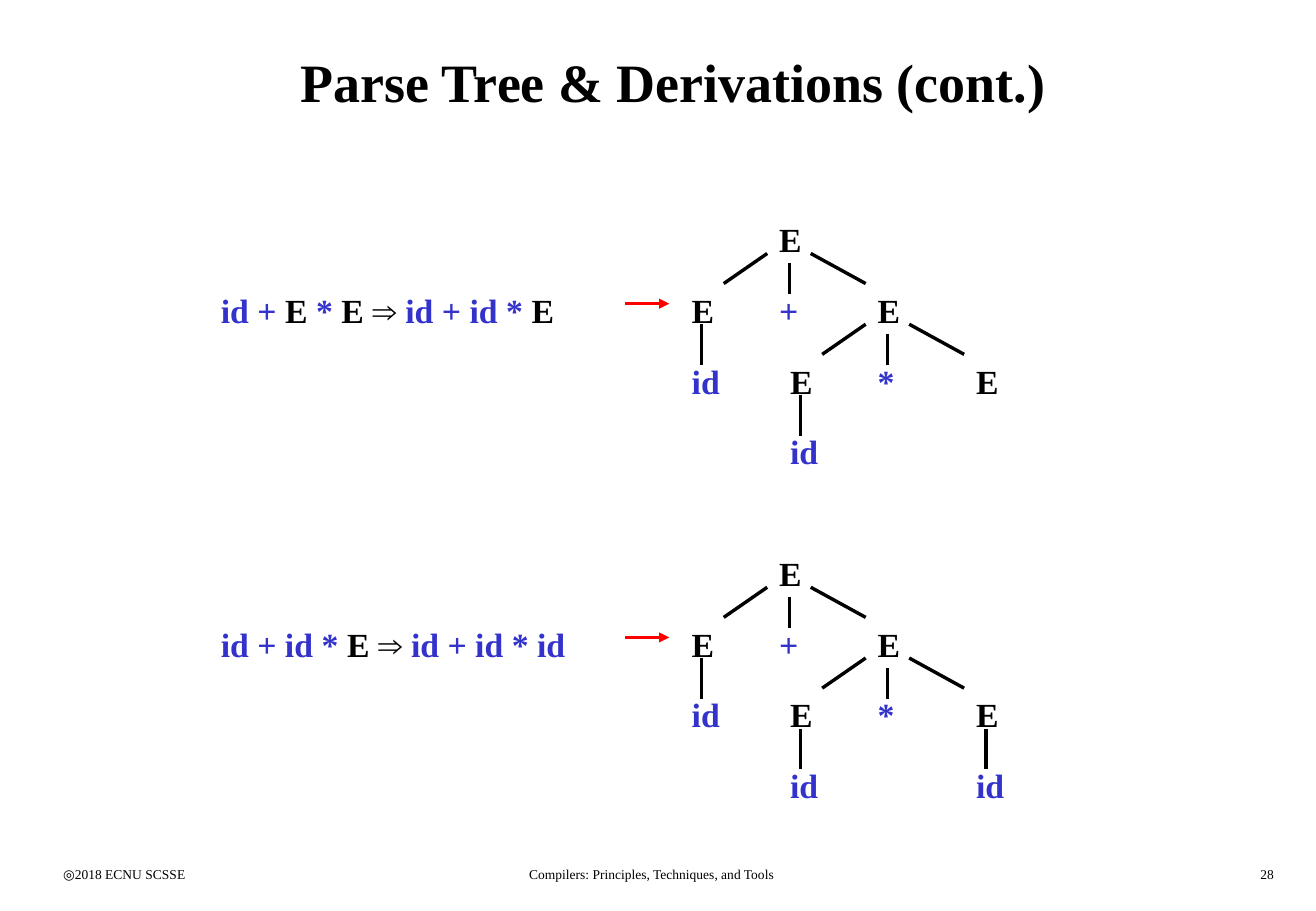
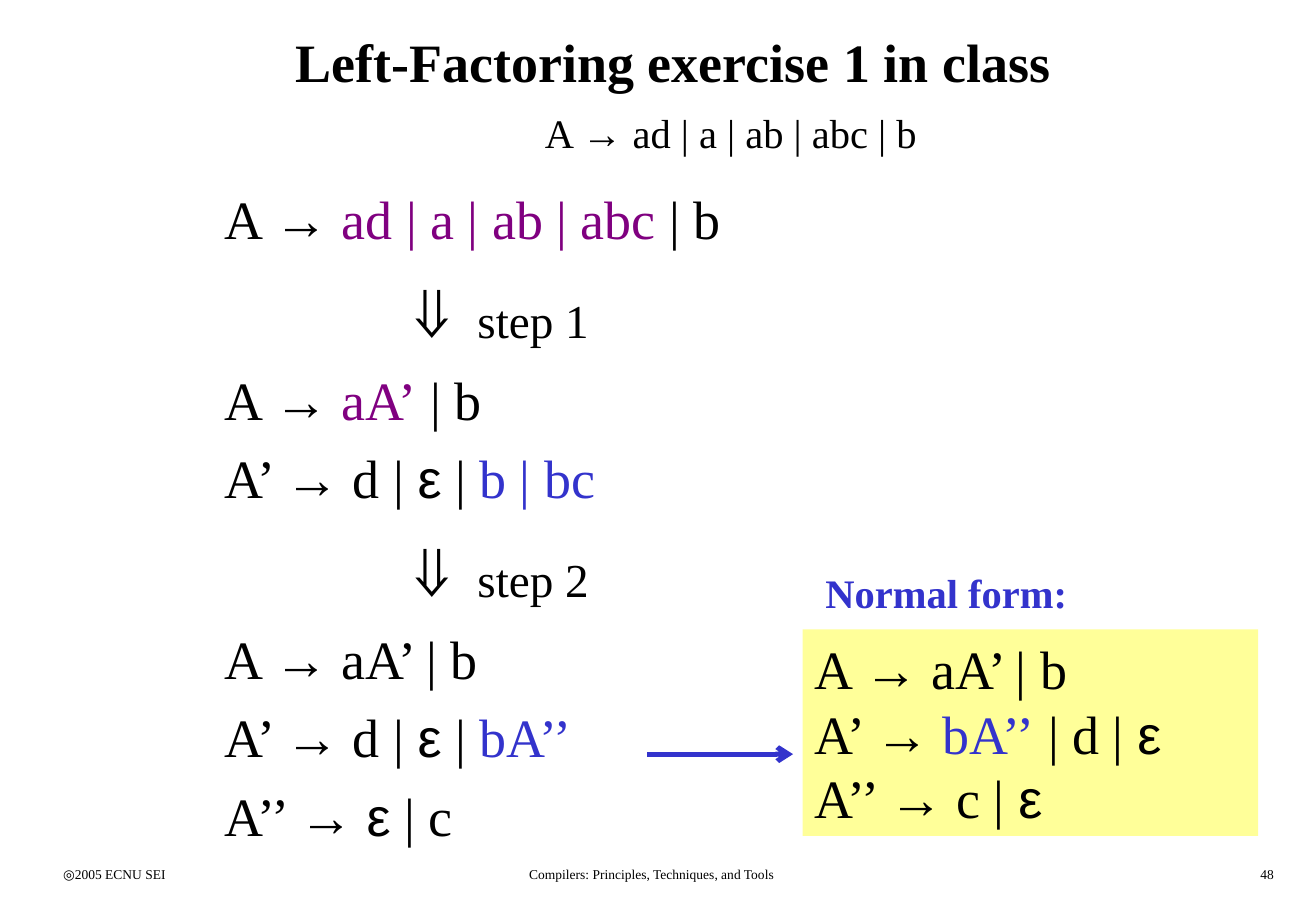
from itertools import groupby

from lxml import etree
from pptx import Presentation
from pptx import util as u
from pptx.dml.color import RGBColor
from pptx.enum import shapes, text
from pptx.oxml.ns import qn

BLACK, BLUE, PURPLE, RED, YELLOW = "000000", "3333CC", "800080", "FF0000", "FFFF99"
SYMBOLS = "→⇒⇓ε"
LEFT, CENTER, RIGHT = text.PP_ALIGN.LEFT, text.PP_ALIGN.CENTER, text.PP_ALIGN.RIGHT

LEVEL = 1.48
CHILD_OFFSETS = {1: [0], 3: [-1.83, 0, 2.06]}
BRANCHES = {
    1: [(0.46, 0.85, 0.46, 1.7)],
    3: [(-0.91, 1.48, 0, 0.85), (0.46, 1.06, 0.46, 1.7), (0.91, 0.85, 2.06, 1.48)],
}


def colour(value):
    return RGBColor.from_string(value)


class Deck:
    body_font = "Times New Roman"
    symbol_font = "Arial"

    def __init__(self):
        self.prs = Presentation()
        self.prs.slide_width, self.prs.slide_height = u.Cm(27.53), u.Cm(19.05)
        self.slide = None

    def new_slide(self, title, title_height, owner, number):
        self.slide = self.prs.slides.add_slide(self.prs.slide_layouts[6])
        self.label(1.07, 0.43, 26.04, title_height, [(title, BLACK)], 32, bold=True,
                   align=CENTER, anchor=text.MSO_ANCHOR.MIDDLE)
        for x, width, words, align in [
            (1.07, 5.74, owner, LEFT),
            (8.48, 10.31, "Compilers: Principles, Techniques, and Tools", CENTER),
            (21.16, 5.74, number, RIGHT),
        ]:
            self.label(x, 17.98, width, 0.64, [(words, BLACK)], 8, align=align)

    def add_runs(self, paragraph, pieces, size, bold=False):
        for words, ink, *own_size in pieces:
            for is_symbol, chars in groupby(words, key=lambda c: c in SYMBOLS):
                run = paragraph.add_run()
                run.text = "".join(chars)
                run.font.name = self.symbol_font if is_symbol else self.body_font
                run.font.size = u.Pt(own_size[0] if own_size else size)
                run.font.bold = bold
                run.font.color.rgb = colour(ink)

    def paragraphs(self, frame, lines, size, gap=0):
        for i, (indent, pieces) in enumerate(lines):
            paragraph = frame.add_paragraph() if i else frame.paragraphs[0]
            if indent:
                paragraph._p.get_or_add_pPr().set("marL", str(u.Cm(indent)))
            if i and gap:
                paragraph.space_before = u.Pt(gap)
            paragraph.alignment = LEFT
            self.add_runs(paragraph, pieces, size)

    def box(self, x, y, width, height, wrap=True):
        area = self.slide.shapes.add_textbox(u.Cm(x), u.Cm(y), u.Cm(width), u.Cm(height))
        area.text_frame.word_wrap = wrap
        return area.text_frame

    def label(self, x, y, width, height, pieces, size, bold=False, align=LEFT,
              anchor=text.MSO_ANCHOR.TOP, wrap=True):
        frame = self.box(x, y, width, height, wrap)
        frame.vertical_anchor = anchor
        frame.paragraphs[0].alignment = align
        self.add_runs(frame.paragraphs[0], pieces, size, bold)

    def panel(self, x, y, width, height, fill):
        area = self.slide.shapes.add_shape(
            shapes.MSO_SHAPE.RECTANGLE, u.Cm(x), u.Cm(y), u.Cm(width), u.Cm(height))
        area.shadow.inherit = False
        area.fill.solid()
        area.fill.fore_color.rgb = colour(fill)
        area.line.fill.background()
        area.text_frame.word_wrap = True
        area.text_frame.vertical_anchor = text.MSO_ANCHOR.TOP
        return area.text_frame

    def line(self, x1, y1, x2, y2, ink=BLACK, weight=2, head=None):
        link = self.slide.shapes.add_connector(
            shapes.MSO_CONNECTOR.STRAIGHT, u.Cm(x1), u.Cm(y1), u.Cm(x2), u.Cm(y2))
        link.line.color.rgb = colour(ink)
        link.line.width = u.Pt(weight)
        if head:
            etree.SubElement(link.line._get_or_add_ln(), qn("a:tailEnd"), type=head)
        etree.SubElement(link._element.spPr, qn("a:effectLst"))

    def tree(self, x, y, symbol, *children):
        ink = BLACK if symbol == "E" else BLUE
        self.label(x, y, 1.6, 1.12, [(symbol, ink)], 20, bold=True)
        if not children:
            return
        for child, offset, (x1, y1, x2, y2) in zip(
                children, CHILD_OFFSETS[len(children)], BRANCHES[len(children)]):
            self.line(x + x1, y + y1, x + x2, y + y2)
            self.tree(x + offset, y + LEVEL, *child)

    def derivation(self, y, formula, root):
        self.label(4.37, y + LEVEL, 8.71, 1.12, formula, 20, bold=True)
        self.line(13.08, y + 1.9, 14, y + 1.9, RED, head="triangle")
        self.tree(16.05, y, *root)

    def save(self):
        self.prs.save("out.pptx")


def parse_tree_slide(deck):
    deck.new_slide("Parse Tree & Derivations (cont.)", 2.54, "◎2018 ECNU SCSSE", "28")
    open_e = ("E",)
    id_e = ("E", ("id",))
    steps = [
        ([("id +", BLUE), (" E ", BLACK), ("* ", BLUE), ("E ⇒ ", BLACK),
          ("id + id * ", BLUE), ("E", BLACK)], open_e),
        ([("id + id * ", BLUE), ("E ⇒ ", BLACK), ("id + id * id", BLUE)], id_e),
    ]
    for i, (formula, last_factor) in enumerate(steps):
        product = ("E", id_e, ("*",), last_factor)
        deck.derivation(4.45 + 6.98 * i, formula, ("E", id_e, ("+",), product))


def left_factoring_slide(deck):
    deck.new_slide("Left-Factoring exercise 1 in class", 1.7, "◎2005 ECNU SEI", "48")
    deck.label(11.15, 2.13, 10.95, 1.6, [("A → ad | a | ab | abc | b", BLACK)], 24)

    def step(number):
        return 3.78, [("⇓ ", BLACK, 44), (f"step {number}", BLACK, 28)]

    deck.paragraphs(deck.box(4.45, 3.76, 11.3, 14.35), [
        (0, [("A → ", BLACK), ("ad | a | ab | abc", PURPLE), (" | b", BLACK)]),
        step(1),
        (0, [("A → ", BLACK), ("aA’", PURPLE), (" | b", BLACK)]),
        (0, [("A’ → d | ε | ", BLACK), ("b | bc", BLUE)]),
        step(2),
        (0, [("A → aA’ | b", BLACK)]),
        (0, [("A’ → d | ε | ", BLACK), ("bA’’", BLUE)]),
        (0, [("A’’ → ε | c", BLACK)]),
    ], 32, gap=8)

    deck.paragraphs(deck.panel(16.79, 13.16, 9.53, 4.32, YELLOW), [
        (0, [("A → aA’ | b", BLACK)]),
        (0, [("A’ → ", BLACK), ("bA’’", BLUE), (" | d | ε", BLACK)]),
        (0, [("A’’ → c | ε", BLACK)]),
    ], 32)
    deck.line(13.54, 15.77, 16.59, 15.77, BLUE, 3, "arrow")
    deck.label(17.02, 11.76, 5.56, 1.27, [("Normal form:", BLUE)], 24, bold=True, wrap=False)


def main():
    deck = Deck()
    parse_tree_slide(deck)
    left_factoring_slide(deck)
    deck.save()


if __name__ == "__main__":
    main()
